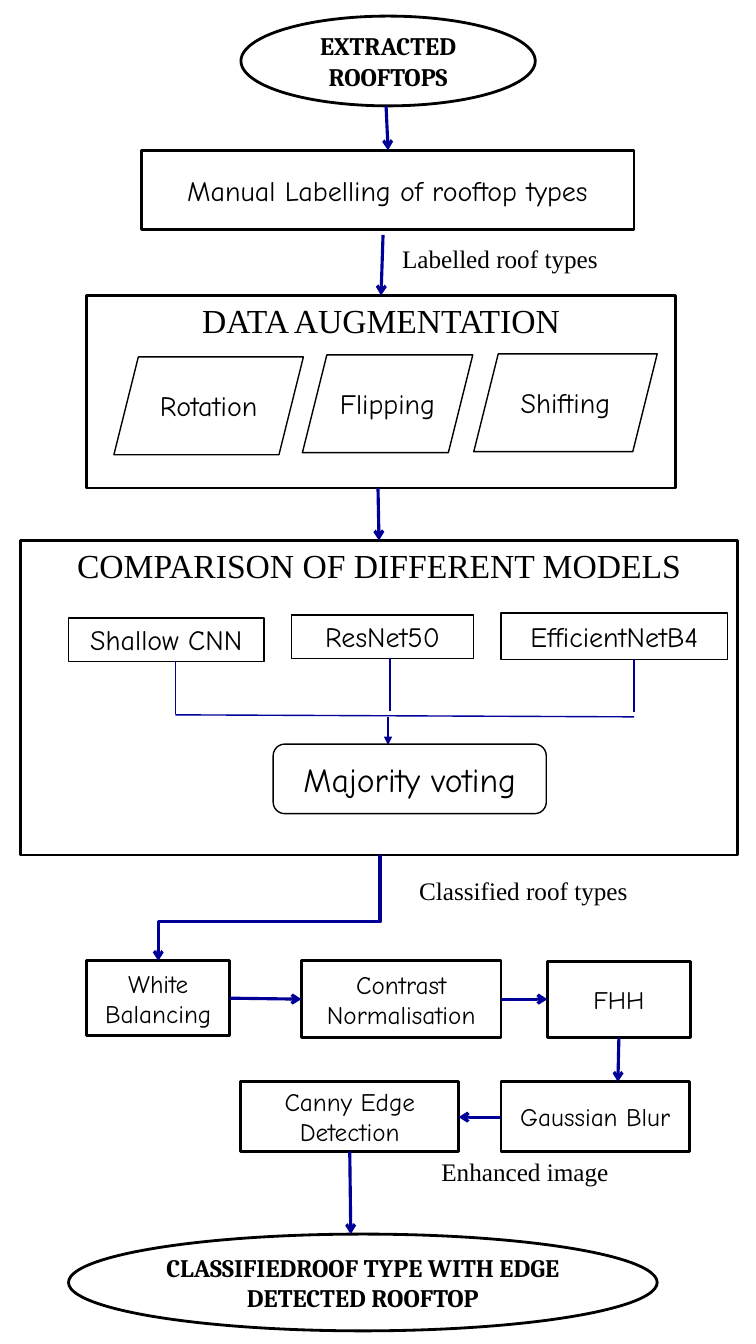
from lxml.etree import SubElement
from pptx import Presentation
from pptx.dml.color import RGBColor
from pptx.enum.shapes import MSO_CONNECTOR as LINK, MSO_SHAPE as FORM
from pptx.enum.text import MSO_ANCHOR as ANCHOR, MSO_AUTO_SIZE as SIZE, PP_ALIGN as ALIGN
from pptx.oxml.ns import qn
from pptx.util import Inches, Pt

WHITE = RGBColor(255, 255, 255)
BLACK = RGBColor(0, 0, 0)
BLUE = RGBColor(0, 0, 0x99)
HAND, SERIF, BOLD = "Comic Neue", "Times New Roman", "Cambria"
COLS, ROWS = 75, 133.3


def grid(*cells):
    return [Inches(cell / 10) for cell in cells]


def write(frame, text, font, size, align):
    frame.text = text
    par = frame.paragraphs[0]
    par.alignment = align
    for run in par.runs:
        run.font.name = font
        run.font.size = Pt(size)
        run.font.bold = font == BOLD
        run.font.color.rgb = BLACK


def box(slide, form, cells, text, font=HAND, size=18, width=2, anchor=ANCHOR.MIDDLE):
    shape = slide.shapes.add_shape(form, *grid(*cells))
    shape.shadow.inherit = False
    shape.fill.solid()
    shape.fill.fore_color.rgb = WHITE
    shape.line.color.rgb = BLACK
    shape.line.width = Pt(width)
    frame = shape.text_frame
    frame.word_wrap = True
    frame.vertical_anchor = anchor
    write(frame, text, font, size, ALIGN.CENTER)


def label(slide, cells, text):
    frame = slide.shapes.add_textbox(*grid(*cells)).text_frame
    frame.word_wrap = False
    frame.auto_size = SIZE.SHAPE_TO_FIT_TEXT
    write(frame, text, SERIF, 18, ALIGN.LEFT)


def link(slide, ends, head="arrow", width=2.25, kind=LINK.STRAIGHT):
    line = slide.shapes.add_connector(kind, *grid(*ends))
    line.line.color.rgb = BLUE
    line.line.width = Pt(width)
    props = line._element.spPr
    SubElement(props, qn("a:effectLst"))
    if head:
        SubElement(props.find(qn("a:ln")), qn("a:tailEnd"), type=head)
    return props


def bend(slide, ends, turn):
    left, top, right, low = ends
    midx, midy = (left + right) / 2, (top + low) / 2
    halfx, halfy = (low - top) / 2, abs(right - left) / 2
    props = link(slide, (midx - halfx, midy - halfy, midx + halfx, midy + halfy),
                 kind=LINK.ELBOW)
    props.find(qn("a:xfrm")).set("rot", "5400000")
    guides = props.find(qn("a:prstGeom")).find(qn("a:avLst"))
    SubElement(guides, qn("a:gd"), name="adj1", fmla=f"val {round(turn * 100000)}")


def augment(slide):
    box(slide, FORM.RECTANGLE, (8.6, 29.3, 58.4, 19.1), "DATA AUGMENTATION",
        SERIF, 24, anchor=ANCHOR.TOP)
    for text, left, top, wide in (("Rotation", 11.3, 35.4, 18.8),
                                  ("Flipping", 30, 35.2, 16.9),
                                  ("Shifting", 47, 35.1, 18.2)):
        box(slide, FORM.PARALLELOGRAM, (left, top, wide, 9.7), text, size=20, width=1)


def compare(slide):
    box(slide, FORM.RECTANGLE, (2, 53.6, 71.2, 31.2), "COMPARISON OF DIFFERENT MODELS",
        SERIF, 24, anchor=ANCHOR.TOP)
    for text, cells, stem in (("Shallow CNN", (6.8, 61.3, 19.4, 4.3), 17.4),
                              ("ResNet50", (28.9, 61, 18.1, 4.3), 38.7),
                              ("EfficientNetB4", (49.7, 60.8, 22.5, 4.6), 62.9)):
        box(slide, FORM.RECTANGLE, cells, text, size=20, width=1)
        base = cells[1] + cells[3]
        link(slide, (stem, base, stem, base + 5.2), None, 1)
    link(slide, (17.4, 70.9, 62.9, 71.1), None, 1)
    link(slide, (38.5, 71.1, 38.5, 73.9), "triangle", 1)
    box(slide, FORM.ROUNDED_RECTANGLE, (27.1, 73.8, 27.1, 6.9), "Majority voting",
        size=24, width=1)


def enhance(slide):
    for text, cells in (("White Balancing", (8.6, 95.3, 14.2, 7.4)),
                        ("Contrast Normalisation", (29.9, 95.3, 19.8, 7.6)),
                        ("FHH", (54.3, 95.4, 14.2, 7.5)),
                        ("Gaussian Blur", (49.7, 107.3, 18.7, 6.9)),
                        ("Canny Edge Detection", (23.9, 107.3, 21.6, 6.9))):
        box(slide, FORM.RECTANGLE, cells, text)


def main():
    deck = Presentation()
    deck.slide_width, deck.slide_height = grid(COLS, ROWS)
    slide = deck.slides.add_slide(deck.slide_layouts[6])
    box(slide, FORM.OVAL, (23.9, 1.6, 29.2, 8.9), "EXTRACTED ROOFTOPS", BOLD)
    box(slide, FORM.RECTANGLE, (14, 14.9, 48.9, 7.9), "Manual Labelling of rooftop types",
        size=20)
    augment(slide)
    compare(slide)
    enhance(slide)
    box(slide, FORM.OVAL, (6.8, 122.4, 58.4, 9.6),
        "CLASSIFIEDROOF TYPE WITH EDGE DETECTED ROOFTOP", BOLD)
    for ends in ((38.3, 10.5, 38.5, 14.9), (38, 23.3, 37.8, 29.3),
                 (37.5, 48.4, 37.6, 53.6), (22.8, 99, 29.9, 99.1),
                 (49.7, 99.1, 54.3, 99.1), (61.4, 102.9, 61.3, 107.3),
                 (49.7, 110.8, 45.5, 110.8), (34.7, 114.2, 34.8, 122.4)):
        link(slide, ends)
    bend(slide, (37.7, 84.8, 15.7, 95.3), 0.63)
    for text, cells in (("Labelled roof types", (38.9, 23.6, 21.6, 4)),
                        ("Classified roof types", (40.6, 86.3, 22.9, 4)),
                        ("Enhanced image", (42.8, 114.2, 18.8, 4))):
        label(slide, cells, text)
    deck.save("out.pptx")


if __name__ == "__main__":
    main()
